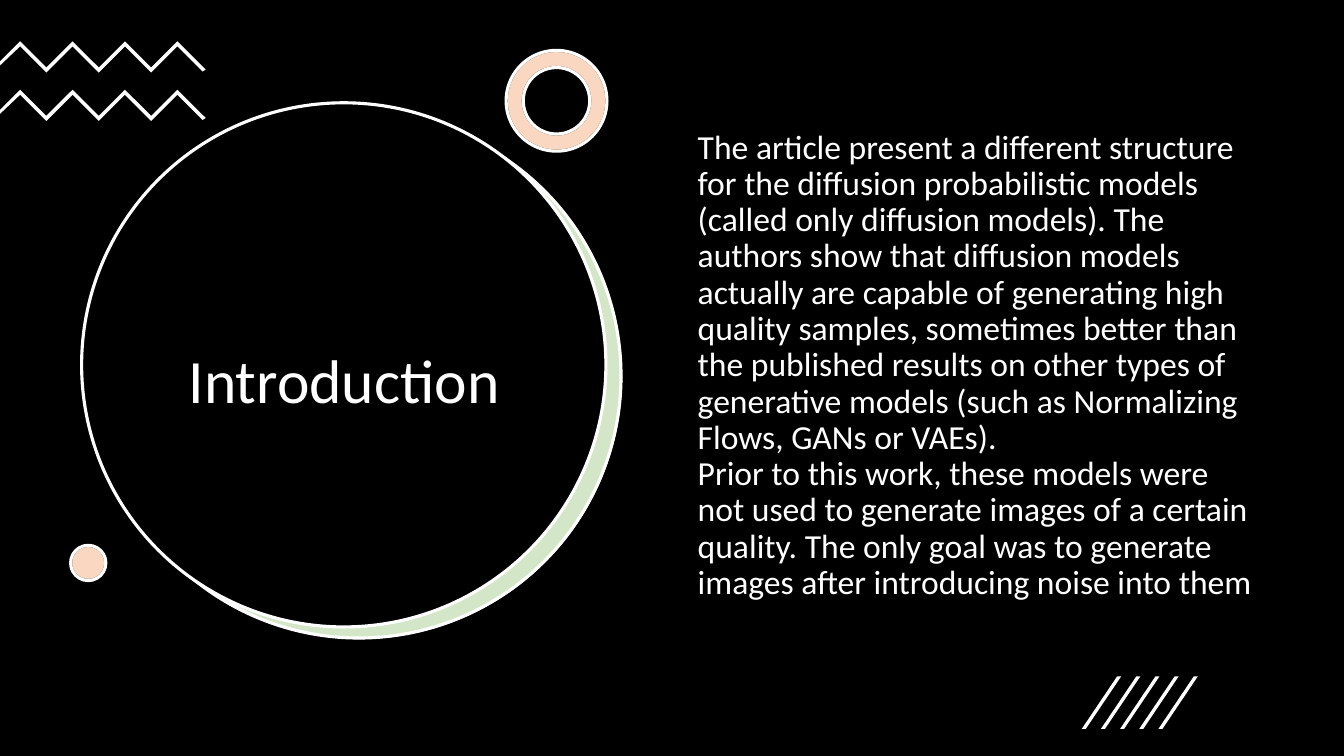
from lxml.etree import SubElement
from pptx import Presentation
from pptx.dml.color import RGBColor
from pptx.enum.shapes import MSO_SHAPE
from pptx.enum.text import MSO_ANCHOR, MSO_AUTO_SIZE, PP_ALIGN
from pptx.oxml.ns import qn
from pptx.util import Inches, Pt

BLACK = RGBColor(0x00, 0x00, 0x00)
WHITE = RGBColor(0xFF, 0xFF, 0xFF)
GREEN = RGBColor(0x70, 0xAD, 0x47)
ORANGE = RGBColor(0xED, 0x7D, 0x31)

BODY = (
    "The article present a different structure for the diffusion probabilistic "
    "models (called only diffusion models). The authors show that diffusion "
    "models actually are capable of generating high quality samples, sometimes "
    "better than the published results on other types of generative models "
    "(such as Normalizing Flows, GANs or VAEs).\v"
    "Prior to this work, these models were not used to generate images of a "
    "certain quality. The only goal was to generate images after introducing "
    "noise into them"
)


def paint(shape, fill, line=None, alpha=None):
    shape.shadow.inherit = False
    shape.fill.solid()
    shape.fill.fore_color.rgb = fill
    if alpha is not None:
        color = shape.element.spPr.find(qn("a:solidFill"))[0]
        SubElement(color, qn("a:alpha")).set("val", str(alpha * 1000))
    if line is None:
        shape.line.fill.background()
    else:
        shape.line.color.rgb = line
        shape.line.width = Pt(2.25)


def add_round(slide, left, top, size, fill, line=None, alpha=None, band=None):
    kind = MSO_SHAPE.DONUT if band else MSO_SHAPE.OVAL
    shape = slide.shapes.add_shape(
        kind, Inches(left), Inches(top), Inches(size), Inches(size))
    if band:
        shape.adjustments[0] = band / size
    paint(shape, fill, line, alpha)


def add_tinted(slide, left, top, size, band=None):
    add_round(slide, left, top, size, WHITE, BLACK, band=band)
    add_round(slide, left, top, size, ORANGE, WHITE, 30, band)


def add_path(slide, left, top, points):
    spots = [(Inches(left + x), Inches(top + y)) for x, y in points]
    path = slide.shapes.build_freeform(*spots[0])
    path.add_line_segments(spots[1:])
    paint(path.convert_to_shape(), WHITE)


def add_zigzags(slide, left, top):
    crest = [(0.2 + 0.26 * i, 0.26 * (i % 2)) for i in range(7)]
    under = [(x, y + 0.05) for x, y in reversed(crest)]
    points = crest + [(2.04, 0.28), (2.01, 0.3)] + under + [(0, 0.24), (0, 0.2)]
    for row in range(2):
        add_path(slide, left, top + 0.48 * row, points)


def add_slashes(slide, left, top):
    points = [(0.04, 0.52), (0, 0.52), (0.35, 0), (0.39, 0)]
    for i in range(5):
        add_path(slide, left + 0.19 * i, top, points)


def add_moon(slide, left, top):
    add_round(slide, left + 0.16, top + 0.12, 5.2, WHITE)
    add_round(slide, left + 0.15, top + 0.11, 5.2, GREEN, WHITE, 30)
    add_round(slide, left, top, 5.2, BLACK, WHITE)


def fill_text(holder, text, box, size, align, anchor):
    tree = holder.element.getparent()
    tree.append(holder.element)
    holder.left, holder.top, holder.width, holder.height = map(Inches, box)
    frame = holder.text_frame
    frame.text = text
    frame.word_wrap = True
    frame.auto_size = MSO_AUTO_SIZE.NONE
    frame.vertical_anchor = anchor
    para = frame.paragraphs[0]
    props = para._p.get_or_add_pPr()
    props.set("marL", "0")
    props.set("indent", "0")
    SubElement(props, qn("a:buNone"))
    para.alignment = align
    para.line_spacing = 0.9
    para.space_before = Pt(0)
    for run in para.runs:
        run.font.name = "Calibri"
        run.font.size = Pt(size)
        run.font.color.rgb = WHITE


def add_intro(deck):
    slide = deck.slides.add_slide(deck.slide_layouts[1])
    slide.background.fill.solid()
    slide.background.fill.fore_color.rgb = BLACK
    add_moon(slide, 0.81, 1.02)
    fill_text(slide.shapes.title, "Introduction", (1.21, 2.05, 4.41, 3.52),
              44, PP_ALIGN.CENTER, MSO_ANCHOR.MIDDLE)
    add_zigzags(slide, 0, 0.41)
    add_tinted(slide, 5.02, 0.5, 1, 0.17)
    add_tinted(slide, 0.7, 5.41, 0.35)
    fill_text(slide.placeholders[1], BODY, (6.82, 1.24, 5.71, 5.2),
              24, PP_ALIGN.LEFT, MSO_ANCHOR.TOP)
    add_slashes(slide, 10.73, 6.71)


def main():
    deck = Presentation()
    deck.slide_width = Inches(13.33)
    deck.slide_height = Inches(7.5)
    add_intro(deck)
    deck.save("out.pptx")


if __name__ == "__main__":
    main()
